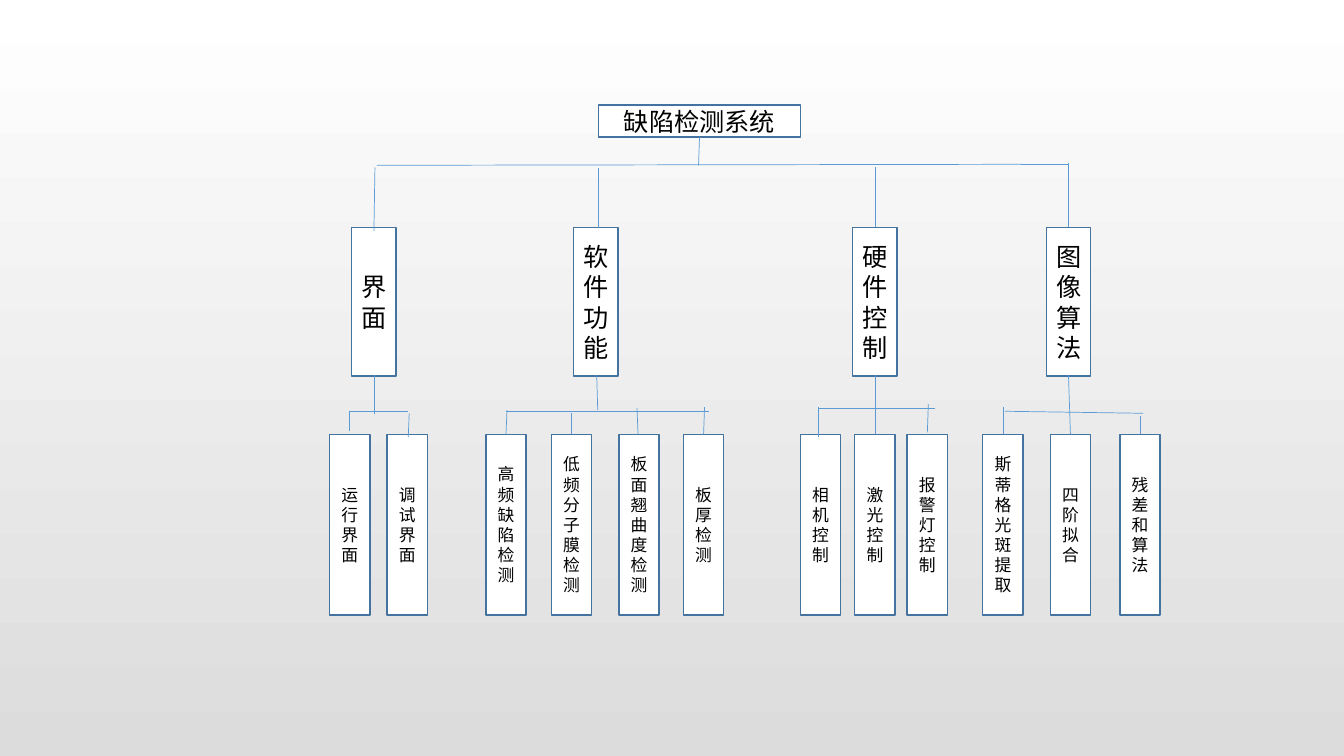
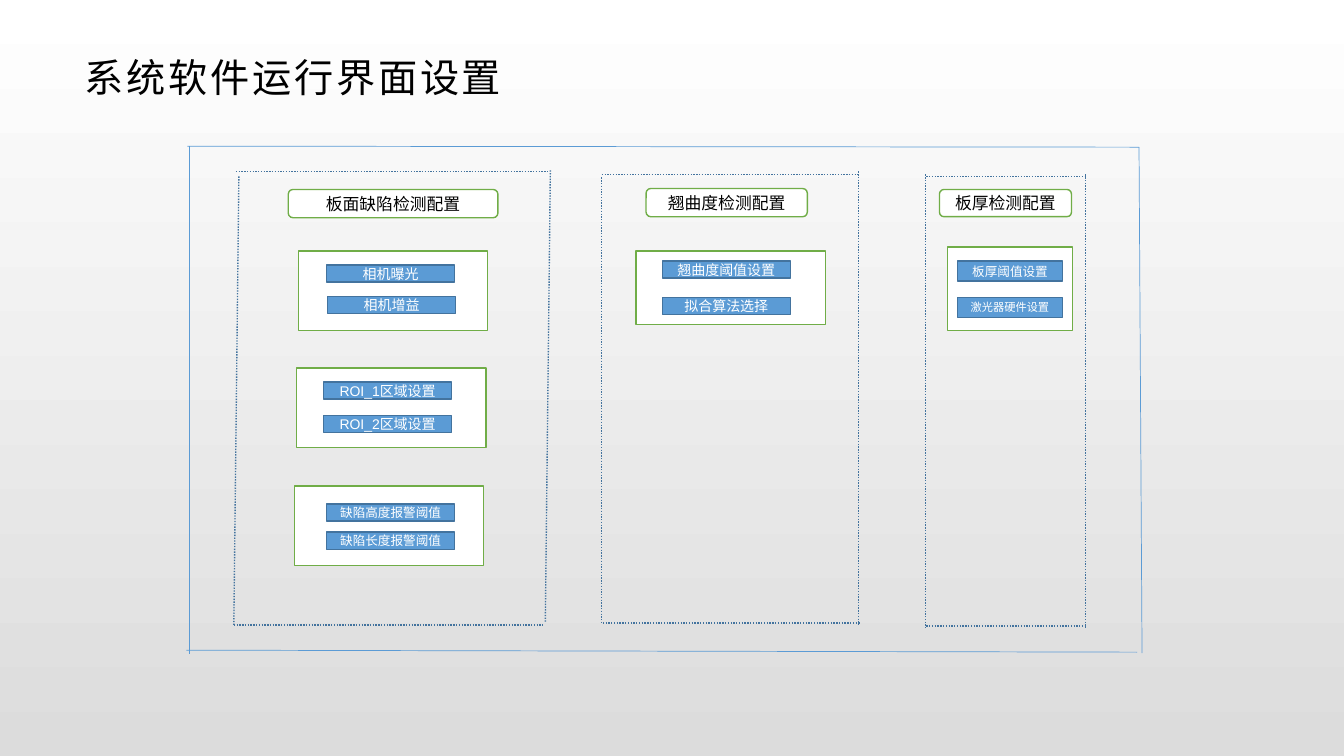
from dataclasses import dataclass
from typing import Optional

from lxml import etree
from pptx import Presentation
from pptx.dml.color import RGBColor
from pptx.enum.dml import MSO_LINE
from pptx.enum.shapes import MSO_CONNECTOR, MSO_SHAPE
from pptx.enum.text import MSO_ANCHOR, MSO_AUTO_SIZE, PP_ALIGN
from pptx.oxml.ns import qn
from pptx.presentation import Presentation as Deck
from pptx.slide import Slide
from pptx.util import Emu, Inches, Pt

RECTANGLE, ROUNDED = MSO_SHAPE.RECTANGLE, MSO_SHAPE.ROUNDED_RECTANGLE
STRAIGHT = MSO_CONNECTOR.STRAIGHT
DOTTED = MSO_LINE.ROUND_DOT
MIDDLE = MSO_ANCHOR.MIDDLE
NO_AUTOFIT = MSO_AUTO_SIZE.NONE
CENTER, LEFT = PP_ALIGN.CENTER, PP_ALIGN.LEFT

WHITE = RGBColor(0xFF, 0xFF, 0xFF)
BLACK = RGBColor(0x00, 0x00, 0x00)
SILVER = RGBColor(0xDC, 0xDC, 0xDC)
BLUE = RGBColor(0x5B, 0x9B, 0xD5)
NAVY = RGBColor(0x43, 0x73, 0x9E)
GREEN = RGBColor(0x70, 0xAD, 0x47)

FONT = "Arial"
SLIDE_HEIGHT = Inches(7.5)
SLIDE_WIDTH = Emu(SLIDE_HEIGHT * 16 // 9)
GRID_ROWS = 75
GRID_STEP = SLIDE_HEIGHT / GRID_ROWS
TITLE_ONLY_LAYOUT, BLANK_LAYOUT = 5, 6


@dataclass(frozen=True)
class Area:
    left: float
    top: float
    width: float
    height: float


@dataclass(frozen=True)
class Wire:
    start_column: float
    start_row: float
    end_column: float
    end_row: float


@dataclass(frozen=True)
class Look:
    fill: RGBColor
    outline: RGBColor
    ink: RGBColor
    shape: MSO_SHAPE = RECTANGLE


@dataclass(frozen=True)
class Leaf:
    label: str
    left: float
    drop: Optional[Wire] = None


@dataclass(frozen=True)
class Branch:
    label: str
    left: float
    feed: Wire
    stem: Wire
    bar: Wire
    leaves: tuple[Leaf, ...]


@dataclass(frozen=True)
class Button:
    label: str
    left: float
    top: float
    size: float = 10


@dataclass(frozen=True)
class Card:
    area: Area
    buttons: tuple[Button, ...]


@dataclass(frozen=True)
class Panel:
    heading: str
    heading_area: Area
    frame: tuple[Wire, ...]
    button_width: float
    button_height: float
    cards: tuple[Card, ...]


NODE = Look(WHITE, NAVY, BLACK)
HEADING = Look(WHITE, GREEN, BLACK, ROUNDED)
CARD = Look(WHITE, GREEN, BLACK)
BUTTON = Look(BLUE, NAVY, WHITE)

ROOT_WIRES = (
    Wire(69.4, 13.6, 69.3, 16.4),
    Wire(37.4, 16.4, 101.4, 16.3),
    Wire(101.3, 16.3, 106, 16.3),
)
BRANCHES = (
    Branch("界面", 34.9, Wire(37.2, 16.6, 37.1, 22.9),
           Wire(37.1, 37.2, 37.1, 41.1), Wire(34.7, 40.8, 40.5, 40.8), (
               Leaf("运行界面", 32.7, Wire(34.7, 40.8, 34.7, 42.8)),
               Leaf("调试界面", 38.4, Wire(40.6, 41, 40.5, 43.4)),
           )),
    Branch("软件功能", 56.9, Wire(59.4, 16.7, 59.4, 22.6),
           Wire(59.2, 37.2, 59.3, 40.7), Wire(50.2, 40.8, 70.3, 40.8), (
               Leaf("高频缺陷检测", 48.2, Wire(50.3, 40.7, 50.2, 43.1)),
               Leaf("低频分子膜检测", 54.7, Wire(56.7, 41, 56.7, 43.1)),
               Leaf("板面翘曲度检测", 61.4, Wire(63.2, 40.5, 63.3, 43.1)),
               Leaf("板厚检测", 67.8, Wire(69.9, 40.4, 69.8, 43.1)),
           )),
    Branch("硬件控制", 84.6, Wire(86.8, 16.6, 86.8, 22.5),
           Wire(86.8, 37.2, 86.8, 43.1), Wire(81.2, 40.5, 92.8, 40.5), (
               Leaf("相机控制", 79.4, Wire(81.2, 40.4, 81.2, 43.4)),
               Leaf("激光控制", 84.8),
               Leaf("报警灯控制", 90, Wire(92.1, 40.1, 92, 42.9)),
           )),
    Branch("图像算法", 103.8, Wire(106, 16.2, 106, 22.5),
           Wire(106, 37.2, 106.2, 43.1), Wire(99.7, 40.8, 113.4, 41), (
               Leaf("斯蒂格光斑提取", 97.5, Wire(99.5, 40.4, 99.5, 43.1)),
               Leaf("四阶拟合", 104.2),
               Leaf("残差和算法", 111.1, Wire(113.1, 41.3, 113.1, 43.1)),
           )),
)

OUTER_FRAME = (
    Wire(18.8, 14.5, 18.8, 64.9),
    Wire(18.6, 14.5, 113, 14.6),
    Wire(18.5, 64.5, 112.8, 64.7),
    Wire(113, 14.6, 113.3, 64.8),
)
PANELS = (
    Panel("板面缺陷检测配置", Area(28.6, 18.8, 20.8, 2.8), (
        Wire(23.7, 17.5, 23.2, 62),
        Wire(23.4, 17, 54.3, 17),
        Wire(54.6, 16.9, 54.1, 61.8),
        Wire(23.2, 62, 53.9, 62),
    ), 12.7, 1.7, (
        Card(Area(29.6, 24.9, 18.8, 7.9), (
            Button("相机曝光", 32.4, 26.3),
            Button("相机增益", 32.5, 29.4),
        )),
        Card(Area(29.4, 36.5, 18.8, 7.9), (
            Button("ROI_1区域设置", 32.1, 37.9),
            Button("ROI_2区域设置", 32.1, 41.2),
        )),
        Card(Area(29.2, 48.2, 18.8, 7.9), (
            Button("缺陷高度报警阈值", 32.4, 50, 9),
            Button("缺陷长度报警阈值", 32.4, 52.8, 9),
        )),
    )),
    Panel("翘曲度检测配置", Area(64.1, 18.7, 16, 2.8), (
        Wire(59.7, 17.3, 85.3, 17.3),
        Wire(59.7, 17.6, 59.7, 61.9),
        Wire(59.8, 61.8, 85.4, 61.8),
        Wire(85.2, 17, 85.2, 62),
    ), 12.7, 1.7, (
        Card(Area(63.1, 24.9, 18.8, 7.3), (
            Button("翘曲度阈值设置", 65.7, 25.9),
            Button("拟合算法选择", 65.7, 29.5),
        )),
    )),
    Panel("板厚检测配置", Area(93.2, 18.8, 13.1, 2.7), (
        Wire(91.8, 17.3, 91.8, 62.3),
        Wire(91.9, 17.5, 107.7, 17.5),
        Wire(107.7, 17.3, 107.7, 62.3),
        Wire(91.9, 62.1, 107.7, 62.1),
    ), 10.4, 2, (
        Card(Area(94, 24.5, 12.4, 8.3), (
            Button("板厚阈值设置", 95, 25.9, 9),
            Button("激光器硬件设置", 95, 29.5, 8),
        )),
    )),
)


def grid(count: float) -> Emu:
    return Emu(round(count * GRID_STEP))


def draw_box(page: Slide, area: Area, look: Look,
             label: str = "", size: float = 12) -> None:
    box = page.shapes.add_shape(look.shape, grid(area.left), grid(area.top),
                                grid(area.width), grid(area.height))
    box.shadow.inherit = False
    box.fill.solid()
    box.fill.fore_color.rgb = look.fill
    box.line.color.rgb = look.outline
    box.line.width = Pt(1)
    if label:
        frame = box.text_frame
        frame.word_wrap = True
        frame.vertical_anchor = MIDDLE
        para = frame.paragraphs[0]
        para.text = label
        para.alignment = CENTER
        para.font.name = FONT
        para.font.size = Pt(size)
        para.font.color.rgb = look.ink


def draw_wire(page: Slide, wire: Wire, dotted: bool = False) -> None:
    connector = page.shapes.add_connector(
        STRAIGHT, grid(wire.start_column), grid(wire.start_row),
        grid(wire.end_column), grid(wire.end_row))
    connector.line.color.rgb = NAVY if dotted else BLUE
    connector.line.width = Pt(1 if dotted else 0.5)
    if dotted:
        connector.line.dash_style = DOTTED
    etree.SubElement(connector._element.spPr, qn("a:effectLst"))


def write_title(page: Slide, text: str) -> None:
    title = page.shapes.title
    title.left, title.top = grid(7.3), grid(4.1)
    title.width, title.height = grid(118.7), grid(7.1)
    frame = title.text_frame
    frame.auto_size = NO_AUTOFIT
    frame.word_wrap = True
    frame.vertical_anchor = MIDDLE
    frame.margin_left, frame.margin_right = grid(1.1), grid(0.8)
    frame.margin_top = frame.margin_bottom = grid(0.4)
    para = frame.paragraphs[0]
    para.alignment = LEFT
    para.font.name = FONT
    para.font.size = Pt(28)
    para.font.color.rgb = BLACK
    span = para.add_run()
    span.text = text
    span.font._element.set("spc", "200")


def draw_branch(page: Slide, branch: Branch) -> None:
    draw_box(page, Area(branch.left, 22.6, 4.4, 14.7), NODE, branch.label, 18)
    for leaf in branch.leaves:
        draw_box(page, Area(leaf.left, 43.1, 4, 17.9), NODE, leaf.label)
    drops = [leaf.drop for leaf in branch.leaves if leaf.drop]
    for wire in (branch.feed, branch.stem, branch.bar, *drops):
        draw_wire(page, wire)


def draw_panel(page: Slide, panel: Panel) -> None:
    for wire in panel.frame:
        draw_wire(page, wire, dotted=True)
    draw_box(page, panel.heading_area, HEADING, panel.heading)
    for card in panel.cards:
        draw_box(page, card.area, CARD)
        for button in card.buttons:
            area = Area(button.left, button.top,
                        panel.button_width, panel.button_height)
            draw_box(page, area, BUTTON, button.label, button.size)


def paint_background(deck: Deck) -> None:
    fill = deck.slide_master.background.fill
    fill.gradient()
    fill.gradient_angle = 270
    for stop, color in zip(fill.gradient_stops, (WHITE, SILVER)):
        stop.color.rgb = color


def build_structure(deck: Deck) -> None:
    page = deck.slides.add_slide(deck.slide_layouts[BLANK_LAYOUT])
    draw_box(page, Area(59.4, 10.4, 20, 3.2), NODE, "缺陷检测系统", 18)
    for wire in ROOT_WIRES:
        draw_wire(page, wire)
    for branch in BRANCHES:
        draw_branch(page, branch)


def build_settings(deck: Deck) -> None:
    page = deck.slides.add_slide(deck.slide_layouts[TITLE_ONLY_LAYOUT])
    write_title(page, "系统软件运行界面设置")
    for wire in OUTER_FRAME:
        draw_wire(page, wire)
    for panel in PANELS:
        draw_panel(page, panel)


deck = Presentation()
deck.slide_width, deck.slide_height = SLIDE_WIDTH, SLIDE_HEIGHT
paint_background(deck)
build_structure(deck)
build_settings(deck)
deck.save("out.pptx")
